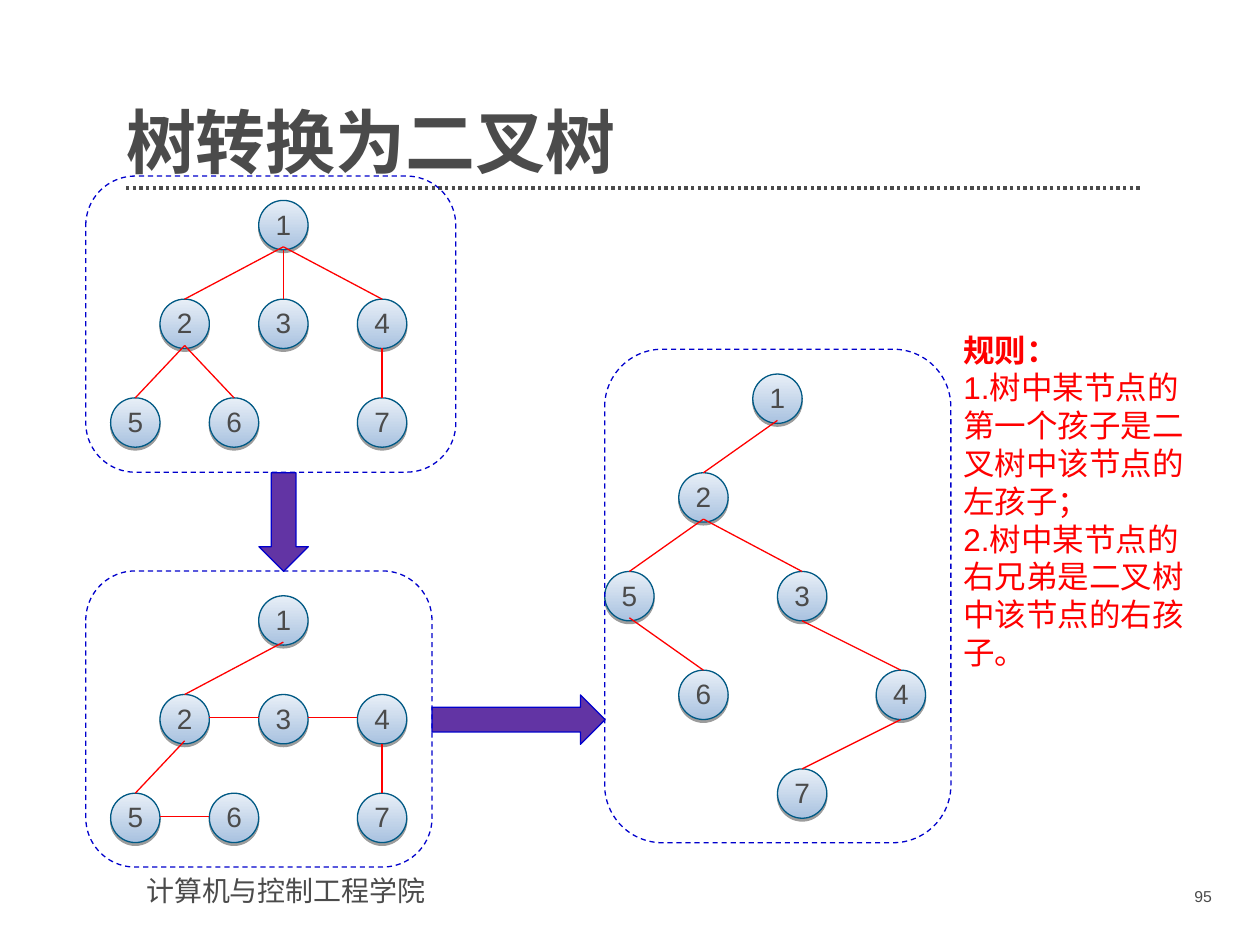
from lxml import etree
from pptx import Presentation
from pptx.dml.color import RGBColor
from pptx.enum.dml import MSO_LINE
from pptx.enum.shapes import MSO_CONNECTOR, MSO_SHAPE
from pptx.enum.text import MSO_ANCHOR, MSO_AUTO_SIZE, PP_ALIGN
from pptx.oxml import parse_xml
from pptx.oxml.ns import nsdecls, qn
from pptx.util import Cm, Pt

LEFT, CENTER, RIGHT = PP_ALIGN.LEFT, PP_ALIGN.CENTER, PP_ALIGN.RIGHT
TOP, MIDDLE, BOTTOM = MSO_ANCHOR.TOP, MSO_ANCHOR.MIDDLE, MSO_ANCHOR.BOTTOM
DASH, DOT = MSO_LINE.DASH, MSO_LINE.ROUND_DOT
STRAIGHT = MSO_CONNECTOR.STRAIGHT
ELLIPSE, ROUNDED = MSO_SHAPE.OVAL, MSO_SHAPE.ROUNDED_RECTANGLE
DOWN_ARROW, RIGHT_ARROW = MSO_SHAPE.DOWN_ARROW, MSO_SHAPE.RIGHT_ARROW

LEVEL = 1.99        # distance between tree levels, in cm
NODE = LEVEL / 2    # node diameter and grid step
OVERLAP = 0.06      # how far a slanted edge starts inside its parent node


def rgb(hex_string):
    return RGBColor.from_string(hex_string)


class TreeSlide:
    LATIN, CJK = "Arial", "Noto Sans CJK SC"
    TEXT, RED, BLUE, PURPLE = "4B4B4B", "FF0000", "0000CC", "6234A4"
    NODE_LINE, NODE_DARK, NODE_LIGHT = "005984", "A9C2E0", "E8EFF7"
    THIN = 0.75

    def __init__(self, presentation):
        self.slide = presentation.slides.add_slide(presentation.slide_layouts[5])
        self.shapes = self.slide.shapes

    def run(self, paragraph, words, size, color=TEXT, bold=False, font=LATIN):
        run = paragraph.add_run()
        run.text = words
        run.font.size = Pt(size)
        run.font.bold = bold
        run.font.name = font
        run.font.color.rgb = rgb(color)
        east_asian = etree.SubElement(run.font._element, qn("a:ea"))
        east_asian.set("typeface", self.CJK)

    def title(self, words, left, top, width, height):
        title = self.shapes.title
        title.left, title.top = Cm(left), Cm(top)
        title.width, title.height = Cm(width), Cm(height)
        frame = title.text_frame
        frame.auto_size = MSO_AUTO_SIZE.NONE
        frame.vertical_anchor = BOTTOM
        frame.margin_left = frame.margin_right = 0
        frame.margin_top = frame.margin_bottom = 0
        paragraph = frame.paragraphs[0]
        paragraph.alignment = LEFT
        paragraph.line_spacing = 0.9
        self.run(paragraph, words, 40, bold=True, font=self.CJK)

    def text(self, lines, left, top, width, height, size, color=TEXT,
             align=LEFT):
        """Add a text box; lines holds (words, bold) pairs, one per paragraph."""
        box = self.shapes.add_textbox(Cm(left), Cm(top), Cm(width), Cm(height))
        frame = box.text_frame
        frame.word_wrap = True
        frame.vertical_anchor = TOP
        for index, (words, bold) in enumerate(lines):
            paragraph = frame.add_paragraph() if index else frame.paragraphs[0]
            paragraph.alignment = align
            self.run(paragraph, words, size, color, bold)

    def line(self, start, end, color=RED, width=THIN, dash=None):
        line = self.shapes.add_connector(
            STRAIGHT, *(Cm(value) for value in (*start, *end)))
        line.line.color.rgb = rgb(color)
        line.line.width = Pt(width)
        if dash:
            line.line.dash_style = dash
        etree.SubElement(line._element.spPr, qn("a:effectLst"))

    def outlined(self, kind, left, top, width, height, color=BLUE):
        shape = self.shapes.add_shape(
            kind, Cm(left), Cm(top), Cm(width), Cm(height))
        shape.shadow.inherit = False
        shape.line.color.rgb = rgb(color)
        shape.line.width = Pt(self.THIN)
        return shape

    def arrow(self, kind, left, top, width, height):
        arrow = self.outlined(kind, left, top, width, height)
        arrow.fill.solid()
        arrow.fill.fore_color.rgb = rgb(self.PURPLE)

    def frame(self, left, top, width, height):
        frame = self.outlined(ROUNDED, left, top, width, height)
        frame.fill.background()
        frame.line.dash_style = DASH

    def node(self, label, left, top):
        node = self.outlined(ELLIPSE, left, top, NODE, NODE, self.NODE_LINE)
        node.fill.gradient()
        node.fill.gradient_angle = 90
        for stop, color in zip(node.fill.gradient_stops,
                               (self.NODE_DARK, self.NODE_LIGHT)):
            stop.color.rgb = rgb(color)
        node._element.spPr.find(qn("a:effectLst")).append(parse_xml(
            f'<a:outerShdw {nsdecls("a")} blurRad="0" dist="{Pt(1.6)}" '
            'dir="5400000" rotWithShape="0"><a:srgbClr val="000000">'
            '<a:alpha val="38000"/></a:srgbClr></a:outerShdw>'))
        frame = node.text_frame
        frame.word_wrap = False
        frame.vertical_anchor = MIDDLE
        frame.margin_left = frame.margin_right = frame.margin_top = 0
        frame.margin_bottom = Cm(0.05)
        frame.paragraphs[0].alignment = CENTER
        self.run(frame.paragraphs[0], label, 16)

    def tree(self, left, top, places, slanted, rim, siblings=()):
        """Draw nodes at (column, row) grid places, then edges named by two labels.

        Slanted edges start inside the parent, rim edges on its rim, and
        sibling edges run sideways.
        """
        spots = {label: (left + column * NODE, top + row * LEVEL)
                 for label, (column, row) in places.items()}
        for label, spot in spots.items():
            self.node(label, *spot)
        for edges, overlap in ((slanted, OVERLAP), (rim, 0)):
            for parent, child in edges:
                (x1, y1), (x2, y2) = spots[parent], spots[child]
                self.line((x1 + NODE / 2, y1 + NODE - overlap),
                          (x2 + NODE / 2, y2))
        for first, second in siblings:
            (x1, y1), (x2, y2) = spots[first], spots[second]
            middle = NODE / 2 - OVERLAP / 2
            self.line((x1 + NODE, y1 + middle), (x2, y2 + middle))


def main():
    presentation = Presentation()
    presentation.slide_width, presentation.slide_height = Cm(25.4), Cm(19.05)
    page = TreeSlide(presentation)

    page.line((2.54, 3.79), (23.01, 3.79), page.TEXT, 1.9, DOT)
    page.text([("计算机与控制工程学院", False)], 2.7, 17.48, 7.01, 0.94, 16)
    page.title("树转换为二叉树", 2.54, 1.4, 20.47, 2.31)
    page.text([("95", False)], 22.17, 17.75, 2.51, 0.74, 9, align=RIGHT)

    general = {"1": (3, 0), "2": (1, 1), "3": (3, 1), "4": (5, 1),
               "5": (0, 2), "6": (2, 2), "7": (5, 2)}
    binary = {"1": (3, 0), "2": (1.5, 1), "3": (3.5, 2), "4": (5.5, 3),
              "5": (0, 2), "6": (1.5, 3), "7": (3.5, 4)}
    page.tree(2.23, 4.04, general, ("12", "14", "25", "26"), ("13", "47"))
    page.tree(2.23, 12.01, general, ("12", "25"), ("47",),
              ("23", "34", "56"))
    page.tree(12.19, 7.54, binary, ("12", "23", "25", "56"), ("34", "47"))

    page.arrow(DOWN_ARROW, 5.22, 9.53, NODE, LEVEL)
    page.arrow(RIGHT_ARROW, 8.71, 14.01, 3.49, NODE)
    page.text([("规则：", True),
               ("1.树中某节点的第一个孩子是二叉树中该节点的左孩子；", False),
               ("2.树中某节点的右兄弟是二叉树中该节点的右孩子。", False)],
              19.17, 6.54, 4.98, 7.11, 18, page.RED)

    page.frame(1.73, 3.55, 7.46, 3 * LEVEL)
    page.frame(1.73, 11.51, 6.98, 3 * LEVEL)
    page.frame(12.19, 7.04, 6.98, 5 * LEVEL)
    presentation.save("out.pptx")


if __name__ == "__main__":
    main()
